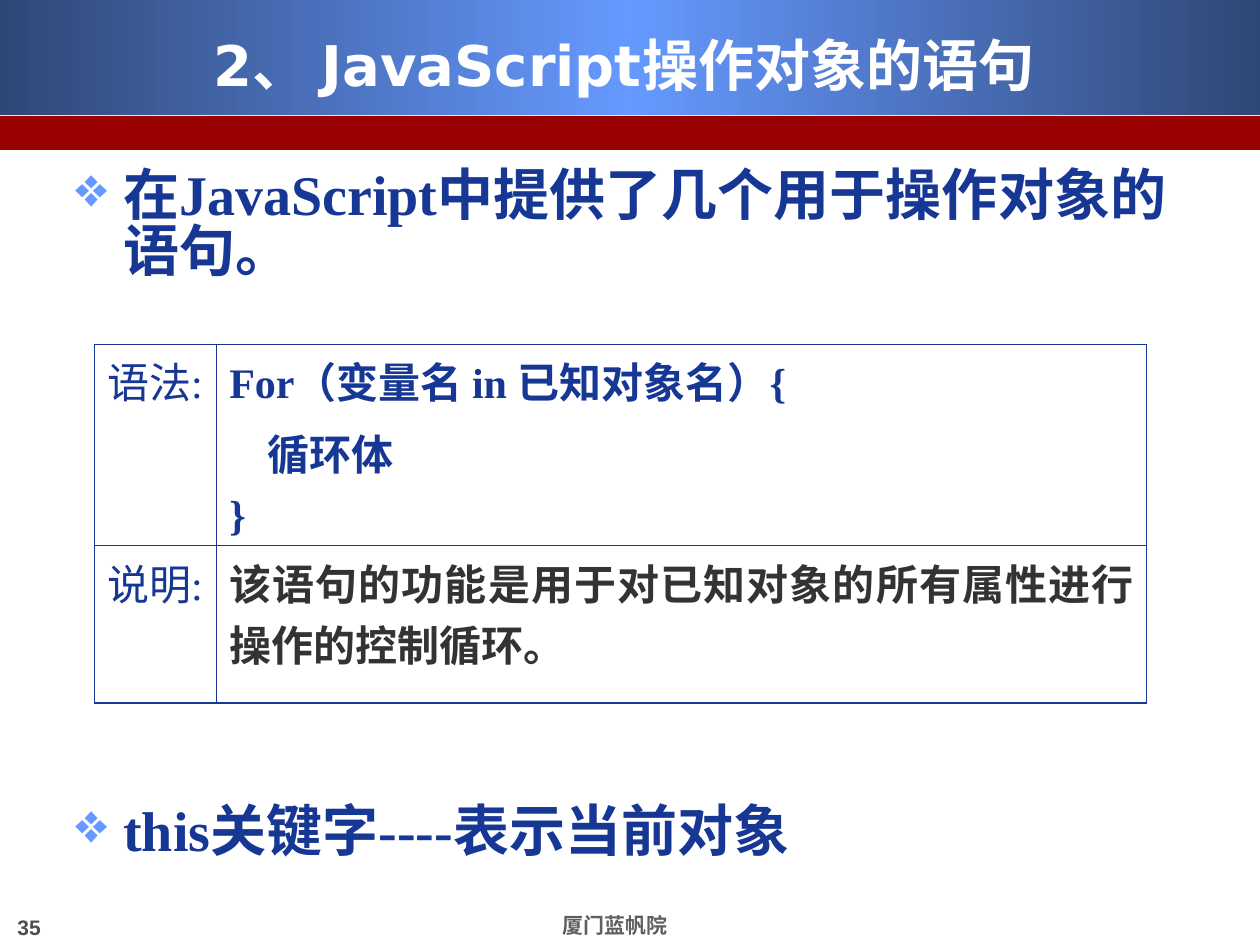
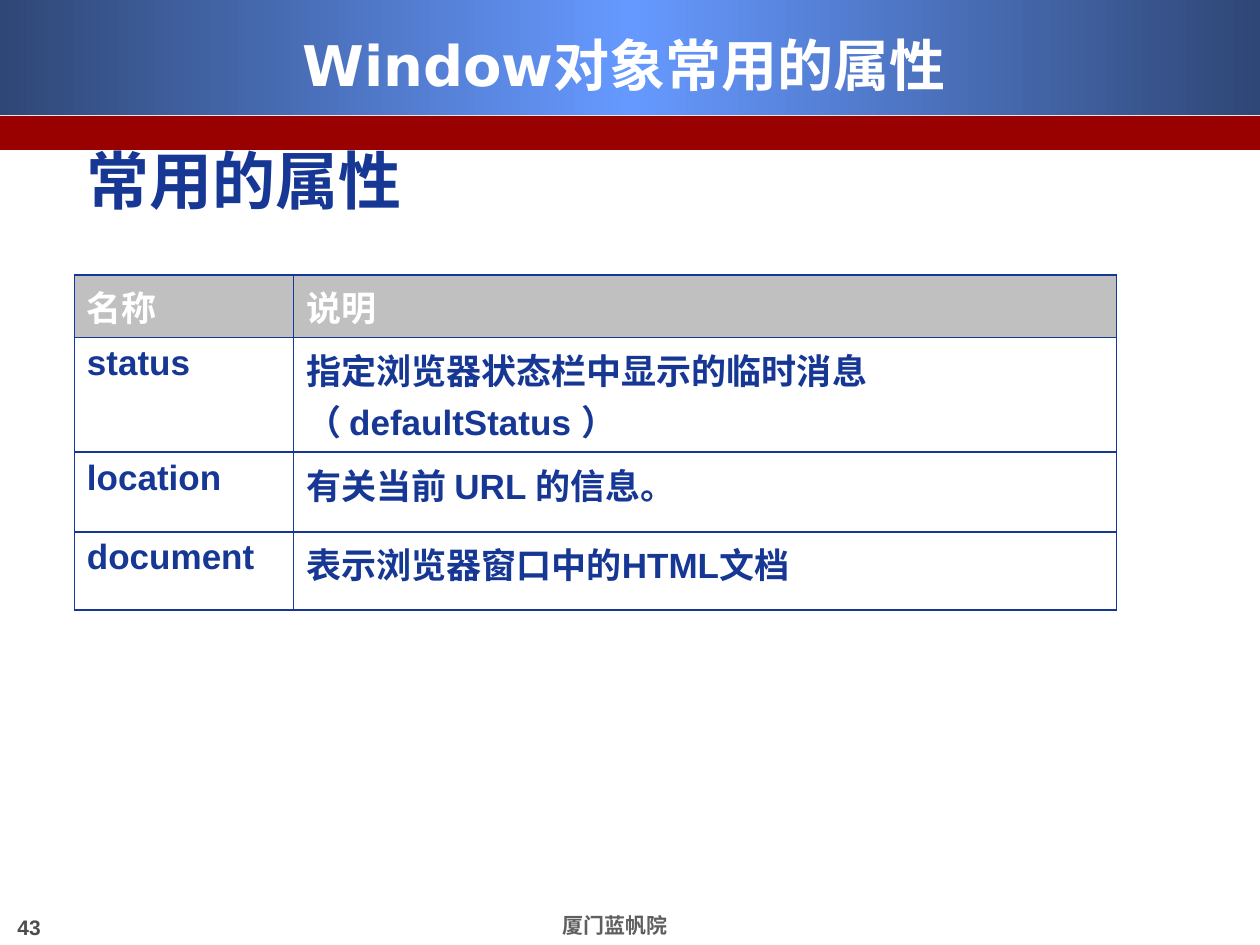
from copy import deepcopy

from lxml import etree
from pptx import Presentation
from pptx.dml.color import RGBColor
from pptx.enum import shapes, text
from pptx.oxml.ns import qn
from pptx.util import Inches, Pt

NAVY, SKY, STEEL, RED = "163794", "6699FF", "2F4776", "990000"
WHITE, SILVER, CHARCOAL = "FFFFFF", "C0C0C0", "333333"
CJK_FONT = "Noto Sans CJK SC"
FOOTER = "厦门蓝帆院"
THIN, THICK = 0.45, 1.08
CENTER, JUSTIFY = text.PP_ALIGN.CENTER, text.PP_ALIGN.JUSTIFY

BULLET = dict(font="Times New Roman", size=32, bullet="❖", spacing=0.84)
LABEL = dict(font="Times New Roman", size=24, bold=False)
CODE = dict(font="Times New Roman", size=24, before=6)
REMARK = dict(font="Courier New", size=24, color=CHARCOAL, align=JUSTIFY)
HEADER = dict(font=CJK_FONT, size=20, color=WHITE)
BODY = dict(size=20)

SLIDES = [
    dict(
        number="35",
        title="2、 JavaScript操作对象的语句",
        texts=[
            ("在JavaScript中提供了几个用于操作对象的语句。", (0.5, 1.3, 9, 1.2), BULLET),
            ("this关键字----表示当前对象", (0.5, 6.35, 9, 0.65), BULLET),
        ],
        table=dict(
            left=0.75, top=2.73, columns=[0.97, 7.38], heights=[1.6, 1.25],
            rules=[THIN, THIN, THICK],
            rows=[
                [("语法:", LABEL), ("For（变量名 in 已知对象名）{\n    循环体\n}", CODE)],
                [("说明:", LABEL), ("该语句的功能是用于对已知对象的所有属性进行操作的控制循环。", REMARK)],
            ],
        ),
    ),
    dict(
        number="43",
        title="Window对象常用的属性",
        texts=[("常用的属性", (0.59, 1.07, 9, 0.85), dict(size=36))],
        table=dict(
            left=0.59, top=2.18, columns=[1.74, 6.53], heights=[0.5, 0.91, 0.63, 0.62],
            rules=[THICK, THIN, THICK, THICK, THICK], header_fill=SILVER,
            rows=[
                [("名称", HEADER), ("说明", HEADER)],
                [("status", BODY), ("指定浏览器状态栏中显示的临时消息 （ defaultStatus ）", BODY)],
                [("location", BODY), ("有关当前 URL 的信息。", BODY)],
                [("document", BODY), ("表示浏览器窗口中的HTML文档", BODY)],
            ],
        ),
    ),
]


def rgb(value):
    return RGBColor.from_string(value)


def add_bullet(para, symbol):
    """Give the paragraph a hanging bullet."""
    props = para._p.get_or_add_pPr()
    props.set("marL", str(Inches(0.38)))
    props.set("indent", str(-Inches(0.38)))
    color = etree.SubElement(props, qn("a:buClr"))
    etree.SubElement(color, qn("a:srgbClr"), val=SKY)
    etree.SubElement(props, qn("a:buChar"), char=symbol)


def write(frame, content, font="Arial", size=20, color=NAVY, bold=True,
          align=None, bullet=None, spacing=None, before=0):
    """Fill a text frame, one paragraph to each line of content."""
    frame.word_wrap = True
    for index, line in enumerate(content.split("\n")):
        para = frame.add_paragraph() if index else frame.paragraphs[0]
        if spacing:
            para.line_spacing = spacing
        if index and before:
            para.space_before = Pt(before)
        if align:
            para.alignment = align
        if bullet:
            add_bullet(para, bullet)
        span = para.add_run()
        span.text = line
        span.font.size = Pt(size)
        span.font.bold = bold
        span.font.color.rgb = rgb(color)
        span.font.name = font
        props = span._r.get_or_add_rPr()
        props.set("lang", "zh-CN")
        etree.SubElement(props, qn("a:ea"), typeface=CJK_FONT)


def add_text(slide, content, place, **style):
    box = slide.shapes.add_textbox(*map(Inches, place))
    write(box.text_frame, content, **style)


def add_band(slide, top, height):
    """Add a full-width band behind the title and return it."""
    band = slide.shapes.add_shape(
        shapes.MSO_SHAPE.RECTANGLE, 0, Inches(top), Inches(10), Inches(height))
    band.shadow.inherit = False
    band.line.fill.background()
    slide.shapes.title.element.addprevious(band.element)
    return band


def add_frame(slide, title, number):
    """Add the bands, title, page number and footer shared by all slides."""
    glow = add_band(slide, 0, 0.91)
    glow.fill.gradient()
    glow.fill.gradient_angle = 0
    stop_list = glow.element.find(".//" + qn("a:gsLst"))
    stop_list.append(deepcopy(stop_list[0]))
    for stop, position, color in zip(
            glow.fill.gradient_stops, (0, 0.5, 1), (STEEL, SKY, STEEL)):
        stop.position = position
        stop.color.rgb = rgb(color)

    stripe = add_band(slide, 0.92, 0.27)
    stripe.fill.solid()
    stripe.fill.fore_color.rgb = rgb(RED)

    heading = slide.shapes.title
    heading.left, heading.top, heading.width, heading.height = map(
        Inches, (0.33, 0.13, 9.25, 0.75))
    frame = heading.text_frame
    frame.auto_size = text.MSO_AUTO_SIZE.NONE
    frame.vertical_anchor = text.MSO_ANCHOR.MIDDLE
    write(frame, title, font="DejaVu Sans", size=32, color=WHITE, align=CENTER)

    add_text(slide, number, (0.04, 7.21, 2.05, 0.29), size=12, color="4D4D4D")
    add_text(slide, FOOTER, (3.03, 7.19, 3.7, 0.3), size=12, color="5F5F5F", align=CENTER)


def set_borders(cell, widths):
    """Draw the left, right, top and bottom borders, in that order."""
    props = cell._tc.get_or_add_tcPr()
    for index, (side, width) in enumerate(zip("LRTB", widths)):
        line = etree.Element(qn(f"a:ln{side}"), w=str(Pt(width)))
        fill = etree.SubElement(line, qn("a:solidFill"))
        etree.SubElement(fill, qn("a:srgbClr"), val=NAVY)
        props.insert(index, line)


def add_table(slide, left, top, columns, heights, rules, rows, header_fill=WHITE):
    table = slide.shapes.add_table(
        len(rows), len(columns), Inches(left), Inches(top),
        Inches(sum(columns)), Inches(sum(heights))).table
    for column, width in zip(table.columns, columns):
        column.width = Inches(width)
    for r, row in enumerate(rows):
        table.rows[r].height = Inches(heights[r])
        for c, (content, style) in enumerate(row):
            cell = table.cell(r, c)
            cell.fill.solid()
            cell.fill.fore_color.rgb = rgb(WHITE if r else header_fill)
            write(cell.text_frame, content, **style)
            set_borders(cell, (
                THIN if c else THICK,
                THICK if c == len(columns) - 1 else THIN,
                rules[r], rules[r + 1]))


def main():
    deck = Presentation()
    deck.slide_width, deck.slide_height = Inches(10), Inches(7.5)
    for page in SLIDES:
        slide = deck.slides.add_slide(deck.slide_layouts[5])
        add_frame(slide, page["title"], page["number"])
        for content, place, style in page["texts"]:
            add_text(slide, content, place, **style)
        add_table(slide, **page["table"])
    deck.save("out.pptx")


if __name__ == "__main__":
    main()
